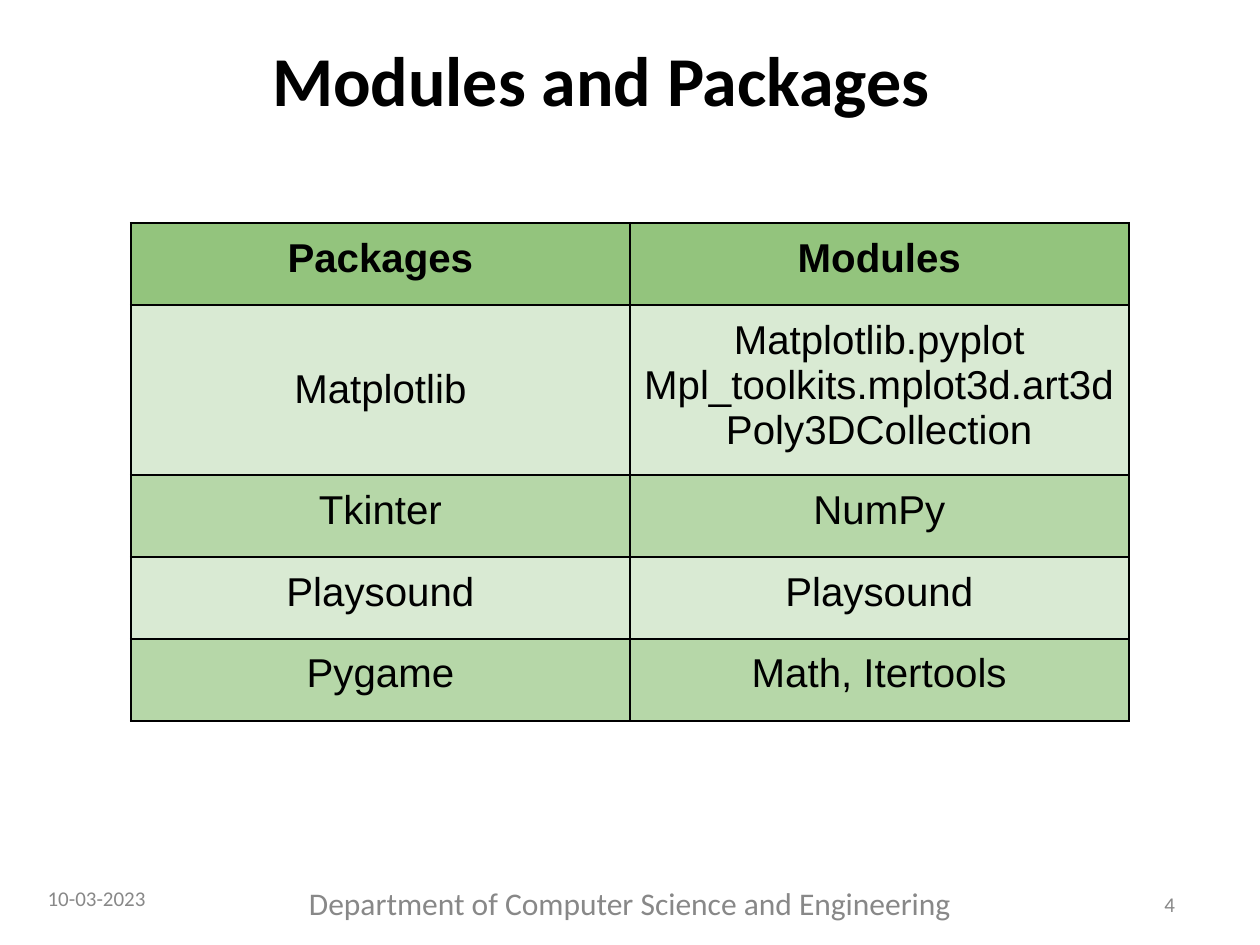
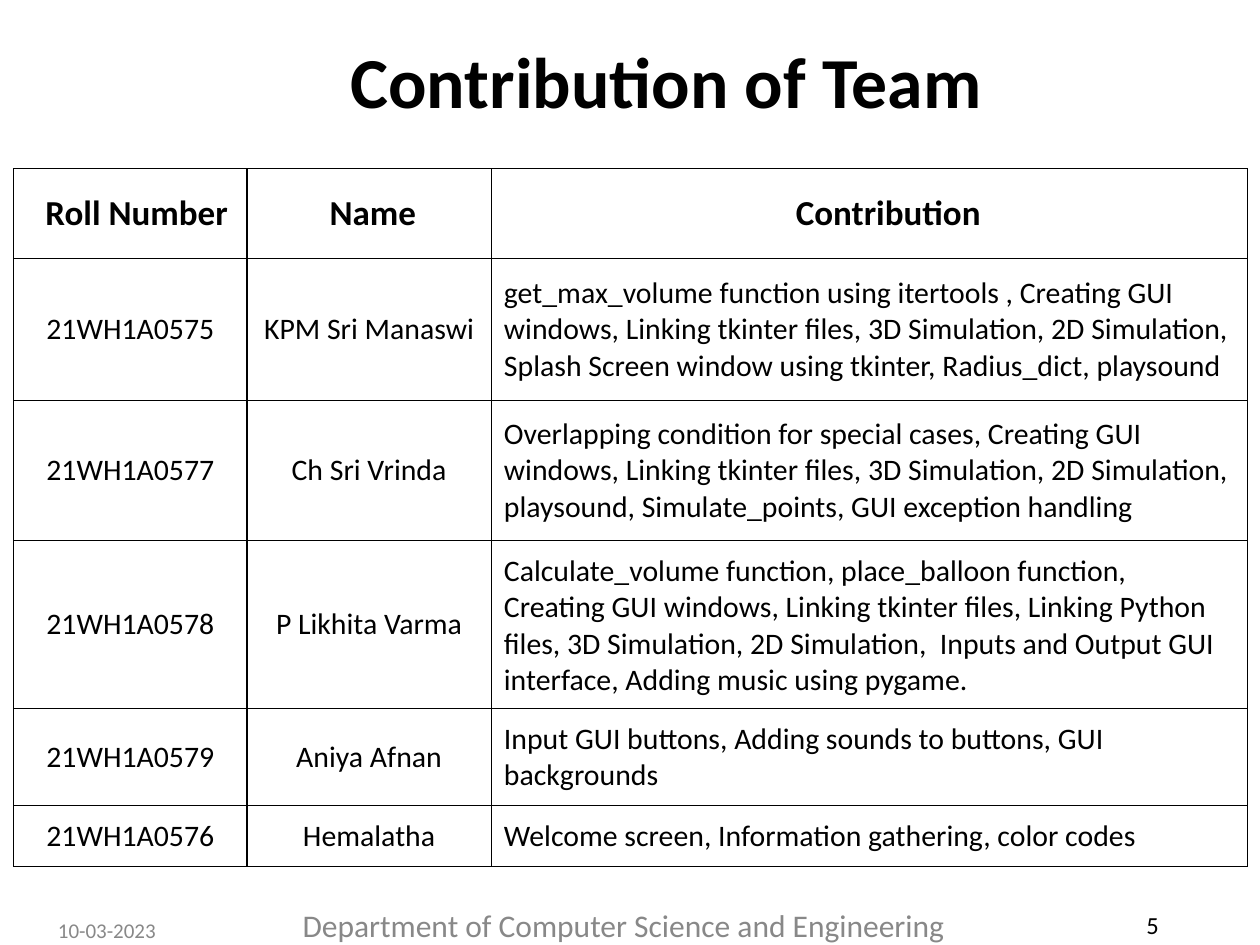
import pptx
import pptx.util
import pptx.dml.color
import pptx.enum.text
import pptx.oxml
import pptx.oxml.ns

Inches = pptx.util.Inches
Pt = pptx.util.Pt
RGBColor = pptx.dml.color.RGBColor
ALIGN = pptx.enum.text.PP_ALIGN
ANCHOR = pptx.enum.text.MSO_ANCHOR

# Shared look
BLACK = RGBColor(0x00, 0x00, 0x00)
GRAY = RGBColor(0x88, 0x88, 0x88)
HEAD = RGBColor(0x93, 0xC4, 0x7D)
PALE = RGBColor(0xD9, 0xEA, 0xD3)
LEAF = RGBColor(0xB6, 0xD7, 0xA8)
SIDES = ("margin_left", "margin_top", "margin_right", "margin_bottom")
TITLE = {"name": "Calibri", "bold": True}
DEPT = {"name": "Calibri", "size": Pt(18)}
SMALL = {"name": "Calibri", "size": Pt(12)}
DATE = "10-03-2023"
SCHOOL = "Department of Computer Science and Engineering"

# Table content
PACKS = [
    ("Packages", "Modules"),
    ("Matplotlib",
     "Matplotlib.pyplot\nMpl_toolkits.mplot3d.art3d Poly3DCollection"),
    ("Tkinter", "NumPy"),
    ("Playsound", "Playsound"),
    ("Pygame", "Math, Itertools"),
]
TEAM = [
    ("Roll Number", "Name", "Contribution"),
    ("21WH1A0575", "KPM Sri Manaswi",
     "get_max_volume function using itertools , Creating GUI windows, "
     "Linking tkinter files, 3D Simulation, 2D Simulation, "
     "Splash Screen window using tkinter, Radius_dict, playsound"),
    ("21WH1A0577", "Ch Sri Vrinda",
     "Overlapping condition for special cases, Creating GUI windows, "
     "Linking tkinter files, 3D Simulation, 2D Simulation, playsound, "
     "Simulate_points, GUI exception handling"),
    ("21WH1A0578", "P Likhita Varma",
     "Calculate_volume function, place_balloon function,\n"
     "Creating GUI windows, Linking tkinter files, Linking Python files, "
     "3D Simulation, 2D Simulation,  Inputs and Output GUI interface, "
     "Adding music using pygame."),
    ("21WH1A0579", "Aniya Afnan",
     "Input GUI buttons, Adding sounds to buttons, GUI backgrounds"),
    ("21WH1A0576", "Hemalatha",
     "Welcome screen, Information gathering, color codes"),
]


def apply(obj, values):
    for key, value in values.items():
        setattr(obj, key, value)


def style(frame, font, color, align, space=None):
    for para in frame.paragraphs:
        apply(para, {"alignment": align, "line_spacing": space})
        for run in para.runs:
            apply(run.font, font)
            run.font.color.rgb = color


def add_text(slide, text, box, font, color=GRAY, align=ALIGN.LEFT,
             pad=(0, 0, 0, 0), space=None):
    frame = slide.shapes.add_textbox(*map(Inches, box)).text_frame
    frame.word_wrap = True
    apply(frame, dict(zip(SIDES, map(Inches, pad))))
    frame.text = text
    style(frame, font, color, align, space)


def add_edges(cell, width):
    props = cell._tc.get_or_add_tcPr()
    for spot, tag in enumerate(("lnL", "lnR", "lnT", "lnB")):
        props.insert(spot, pptx.oxml.parse_xml(
            f'<a:{tag} {pptx.oxml.ns.nsdecls("a")} w="{Pt(width)}">'
            f'<a:solidFill><a:srgbClr val="{BLACK}"/></a:solidFill></a:{tag}>'))


def add_grid(slide, rows, spot, widths, heights, line):
    """Add a plain bordered table and return it for styling."""
    grid = slide.shapes.add_table(
        len(rows), len(widths), *map(Inches, spot),
        Inches(sum(widths)), Inches(sum(heights))).table
    apply(grid, {"first_row": False, "horz_banding": False})
    for col, width in zip(grid.columns, widths):
        col.width = Inches(width)
    for row, height, texts in zip(grid.rows, heights, rows):
        row.height = Inches(height)
        for cell, text in zip(row.cells, texts):
            cell.text = text
            apply(cell, dict.fromkeys(SIDES, Inches(0.1)))
            cell.fill.background()
            add_edges(cell, line)
    return grid


def add_packs(slide):
    add_text(slide, "Modules and Packages", (2.16, 0.29, 5.68, 0.67),
             TITLE | {"size": Pt(40)}, BLACK)

    # Green bands below a darker header
    grid = add_grid(slide, PACKS, (1.04, 1.77), [3.96] * 2,
                    [0.65, 1.35] + [0.65] * 3, 1.5)
    for num, row in enumerate(grid.rows):
        for cell in row.cells:
            cell.fill.solid()
            cell.fill.fore_color.rgb = (
                HEAD if num == 0 else PALE if num % 2 else LEAF)
            font = {"name": "Arial", "size": Pt(23), "bold": num == 0}
            style(cell.text_frame, font, BLACK, ALIGN.CENTER)
    grid.cell(1, 0).vertical_anchor = ANCHOR.MIDDLE

    # Footer
    add_text(slide, DATE, (0.28, 6.92, 1.06, 0.65), SMALL,
             pad=[0.1] * 4, space=1.03)
    add_text(slide, SCHOOL, (2.24, 6.92, 5.52, 0.5), DEPT,
             align=ALIGN.CENTER, pad=[0.1] * 4)
    add_text(slide, "4", (9.24, 7.07, 0.21, 0.2), SMALL, space=1.03)


def add_team(slide):
    add_text(slide, "Contribution of Team", (1.45, 0.29, 7.18, 0.69),
             TITLE | {"size": Pt(41)}, BLACK, ALIGN.CENTER, (0.5, 0, 0, 0))

    # Contributions read from the left, all else is centred
    grid = add_grid(slide, TEAM, (0.11, 1.34), [1.85, 1.94, 6],
                    [0.71, 1.13, 1.11, 1.27, 0.69, 0.48], 0.75)
    for num, row in enumerate(grid.rows):
        for col, cell in enumerate(row.cells):
            cell.vertical_anchor = ANCHOR.MIDDLE
            font = {"name": "Calibri", "size": Pt(17 if num else 20),
                    "bold": num == 0}
            align = ALIGN.LEFT if num and col == 2 else ALIGN.CENTER
            style(cell.text_frame, font, BLACK, align)
    for col, pad in enumerate((0.2, 0.16, 0.4)):
        grid.cell(0, col).margin_left = Inches(pad)

    # Footer
    add_text(slide, DATE, (0.46, 7.28, 1.6, 0.41), SMALL, space=1.03)
    add_text(slide, SCHOOL, (2.17, 7.19, 5.56, 0.3), DEPT,
             align=ALIGN.CENTER)
    add_text(slide, "5", (9, 7.12, 1, 0.44), SMALL | {"size": Pt(14)},
             BLACK, pad=[0.1] * 4)


def main():
    deck = pptx.Presentation()
    apply(deck, {"slide_width": Inches(10), "slide_height": Inches(7.5)})
    for build in (add_packs, add_team):
        build(deck.slides.add_slide(deck.slide_layouts[6]))
    deck.save("out.pptx")


main()
